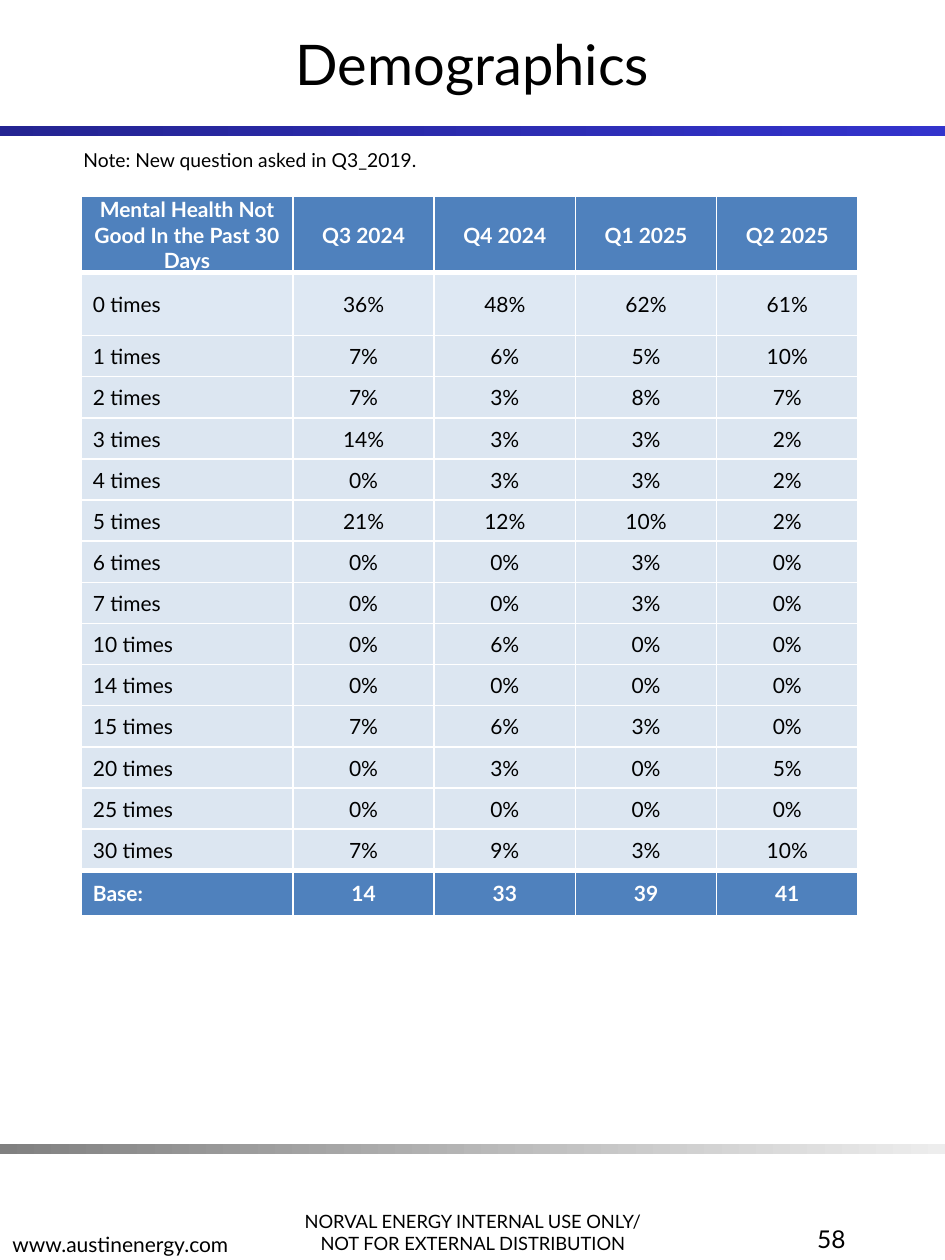
from dataclasses import dataclass

from lxml import etree
from pptx import Presentation
from pptx.dml.color import RGBColor
from pptx.enum.text import MSO_ANCHOR, PP_ALIGN
from pptx.oxml.ns import qn
from pptx.util import Emu, Pt

PX = 914400 // 126
FONT = "Lato"
BLACK = RGBColor(0x00, 0x00, 0x00)
WHITE = RGBColor(0xFF, 0xFF, 0xFF)
NAVY = RGBColor(0x24, 0x24, 0x92)
ROYAL = RGBColor(0x33, 0x33, 0xCC)
GRAY = RGBColor(0x80, 0x80, 0x80)
SILVER = RGBColor(0xED, 0xED, 0xED)
HEADER_BLUE = RGBColor(0x4F, 0x81, 0xBD)
FIRST_ROW_BLUE = RGBColor(0xDE, 0xE8, 0xF3)
ROW_BLUE = RGBColor(0xDC, 0xE6, 0xF1)
LEFT, CENTER, RIGHT = PP_ALIGN.LEFT, PP_ALIGN.CENTER, PP_ALIGN.RIGHT
TOP, MIDDLE, BOTTOM = MSO_ANCHOR.TOP, MSO_ANCHOR.MIDDLE, MSO_ANCHOR.BOTTOM
TITLE_ONLY = 5
RECTANGLE = 1

PAGE_WIDTH, PAGE_HEIGHT = 945, 1260
TABLE_LEFT, TABLE_TOP = 81, 196
LABEL_WIDTH, QUARTERS_WIDTH = 212, 565
HEADER_HEIGHT, FIRST_HEIGHT, MIDDLE_HEIGHT, BASE_HEIGHT = 76, 63, 535, 46

ROWS = [
    ("Mental Health Not Good In the Past 30 Days", "Q3 2024", "Q4 2024", "Q1 2025", "Q2 2025"),
    ("0 times", "36%", "48%", "62%", "61%"),
    ("1 times", "7%", "6%", "5%", "10%"),
    ("2 times", "7%", "3%", "8%", "7%"),
    ("3 times", "14%", "3%", "3%", "2%"),
    ("4 times", "0%", "3%", "3%", "2%"),
    ("5 times", "21%", "12%", "10%", "2%"),
    ("6 times", "0%", "0%", "3%", "0%"),
    ("7 times", "0%", "0%", "3%", "0%"),
    ("10 times", "0%", "6%", "0%", "0%"),
    ("14 times", "0%", "0%", "0%", "0%"),
    ("15 times", "7%", "6%", "3%", "0%"),
    ("20 times", "0%", "3%", "0%", "5%"),
    ("25 times", "0%", "0%", "0%", "0%"),
    ("30 times", "7%", "9%", "3%", "10%"),
    ("Base:", "14", "33", "39", "41"),
]


@dataclass(frozen=True)
class Band:
    top: int
    start: RGBColor
    end: RGBColor


@dataclass(frozen=True)
class Label:
    lines: tuple[str, ...]
    left: int
    top: int
    width: int
    height: int
    size: float
    align: PP_ALIGN = LEFT
    anchor: MSO_ANCHOR = TOP


BANDS = [Band(126, NAVY, ROYAL), Band(1144, GRAY, SILVER)]
TITLE = Label(("Demographics",), 0, 0, PAGE_WIDTH, 126, 32, CENTER, MIDDLE)
LABELS = [
    Label(("NORVAL ENERGY INTERNAL USE ONLY/", "NOT FOR EXTERNAL DISTRIBUTION"),
          272, 1176, 402, 84, 10.5, CENTER, BOTTOM),
    Label(("www.austinenergy.com",), 0, 1179, 402, 84, 12, LEFT, BOTTOM),
    Label(("58",), 662, 1218, 196, 84, 14, RIGHT),
    Label(("Note: New question asked in Q3_2019.",), 71, 142, 811, 37, 11),
]


def px(length: float) -> Emu:
    return Emu(round(length * PX))


def style_paragraph(para, size: float, color: RGBColor, align: PP_ALIGN, bold: bool = False) -> None:
    para.alignment = align
    para.font.name = FONT
    para.font.size = Pt(size)
    para.font.bold = bold
    para.font.color.rgb = color


def draw_band(page, band: Band) -> None:
    shape = page.shapes.add_shape(RECTANGLE, 0, px(band.top), px(PAGE_WIDTH), px(10))
    shape.shadow.inherit = False
    shape.line.fill.background()
    shape.fill.gradient()
    shape.fill.gradient_angle = 0
    for stop, color, position in zip(shape.fill.gradient_stops, (band.start, band.end), (0, 1)):
        stop.color.rgb = color
        stop.position = position


def fill_label(box, label: Label) -> None:
    box.left, box.top = px(label.left), px(label.top)
    box.width, box.height = px(label.width), px(label.height)
    frame = box.text_frame
    frame.word_wrap = True
    frame.vertical_anchor = label.anchor
    frame.text = "\n".join(label.lines)
    for para in frame.paragraphs:
        style_paragraph(para, label.size, BLACK, label.align)


def draw_label(page, label: Label) -> None:
    fill_label(page.shapes.add_textbox(0, 0, 0, 0), label)


def set_borders(cell, top: int, bottom: int) -> None:
    properties = cell._tc.get_or_add_tcPr()
    for side, width in (("L", 1), ("R", 1), ("T", top), ("B", bottom)):
        line = etree.SubElement(properties, qn(f"a:ln{side}"), w=str(Pt(width)))
        fill = etree.SubElement(line, qn("a:solidFill"))
        etree.SubElement(fill, qn("a:srgbClr"), val=str(WHITE))


def draw_table(page) -> None:
    last = len(ROWS) - 1
    quarters = len(ROWS[0]) - 1
    middle_height = MIDDLE_HEIGHT / (len(ROWS) - 3)
    heights = [HEADER_HEIGHT, FIRST_HEIGHT] + [middle_height] * (len(ROWS) - 3) + [BASE_HEIGHT]
    widths = [LABEL_WIDTH] + [QUARTERS_WIDTH / quarters] * quarters
    table = page.shapes.add_table(
        len(ROWS), len(widths), px(TABLE_LEFT), px(TABLE_TOP), px(sum(widths)), px(sum(heights))
    ).table
    for column, width in zip(table.columns, widths):
        column.width = px(width)
    for row_index, values in enumerate(ROWS):
        table.rows[row_index].height = px(heights[row_index])
        strong = row_index in (0, last)
        row_fill = HEADER_BLUE if strong else FIRST_ROW_BLUE if row_index == 1 else ROW_BLUE
        for column_index, value in enumerate(values):
            cell = table.cell(row_index, column_index)
            is_row_label = column_index == 0 and row_index > 0
            set_borders(cell, 3 if row_index in (1, last) else 1, 3 if row_index in (0, last - 1) else 1)
            cell.fill.solid()
            cell.fill.fore_color.rgb = row_fill
            cell.vertical_anchor = MIDDLE
            cell.margin_left = px(12 if is_row_label else 1)
            cell.margin_right = cell.margin_top = px(1)
            cell.margin_bottom = 0
            cell.text = value
            style_paragraph(cell.text_frame.paragraphs[0], 12, WHITE if strong else BLACK,
                            LEFT if is_row_label else CENTER, strong)


def main() -> None:
    deck = Presentation()
    deck.slide_width, deck.slide_height = px(PAGE_WIDTH), px(PAGE_HEIGHT)
    page = deck.slides.add_slide(deck.slide_layouts[TITLE_ONLY])
    for band in BANDS:
        draw_band(page, band)
    fill_label(page.shapes.title, TITLE)
    draw_table(page)
    for label in LABELS:
        draw_label(page, label)
    deck.save("out.pptx")


if __name__ == "__main__":
    main()
